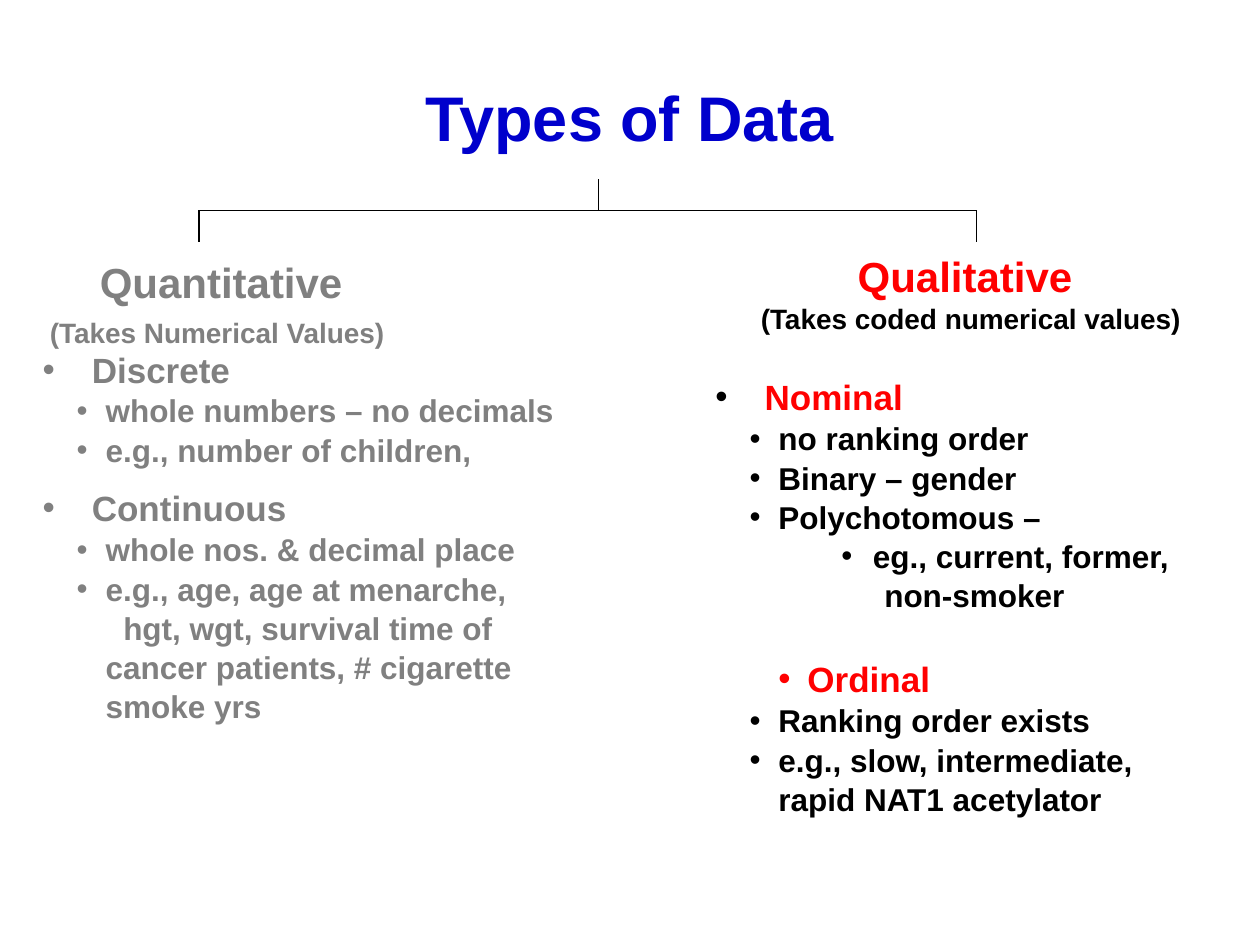
import pptx
import pptx.enum.shapes
import pptx.enum.text
import pptx.dml.color
import pptx.oxml
import pptx.oxml.ns
import pptx.util
from pptx.util import Inches

COLORS = {"title": "0000CC", "gray": "808080", "red": "FF0000", "black": "000000"}
ALIGN = pptx.enum.text.PP_ALIGN

deck = pptx.Presentation()
deck.slide_width, deck.slide_height = Inches(10), Inches(7.5)
page = deck.slides.add_slide(deck.slide_layouts[6])


def add_text(frame, text, size=18, color="black", align=ALIGN.LEFT, before=0,
             margin=0, hanging=0, bullet=None, spacing=1.04):
    """Append a bold paragraph; bullet names the colour of its bullet."""
    first = not frame.paragraphs[0].runs
    para = frame.paragraphs[0] if first else frame.add_paragraph()
    props = para._p.get_or_add_pPr()
    props.set("marL", str(Inches(margin)))
    props.set("indent", str(-Inches(hanging)))
    if bullet:
        for tag, name, value in (("buClr", None, None), ("buFont", "typeface", "Arial"),
                                 ("buChar", "char", "•")):
            mark = pptx.oxml.parse_xml(f'<a:{tag} {pptx.oxml.ns.nsdecls("a")}/>')
            if name:
                mark.set(name, value)
            else:
                mark.append(pptx.oxml.parse_xml(
                    f'<a:srgbClr {pptx.oxml.ns.nsdecls("a")} val="{COLORS[bullet]}"/>'))
            props.append(mark)
    para.alignment = align
    para.line_spacing = spacing
    para.space_before = pptx.util.Pt(before)
    span = para.add_run()
    span.text = text
    span.font.name = "Arial"
    span.font.size = pptx.util.Pt(size)
    span.font.bold = True
    span.font.color.rgb = pptx.dml.color.RGBColor.from_string(COLORS[color])


def add_box(left, top, width, height, wrap=True):
    box = page.shapes.add_textbox(Inches(left), Inches(top), Inches(width), Inches(height))
    box.text_frame.word_wrap = wrap
    return box.text_frame


title = add_box(0.5, 0.3, 9, 1.25)
title.vertical_anchor = pptx.enum.text.MSO_ANCHOR.MIDDLE
add_text(title, "Types of Data", size=36, color="title", align=ALIGN.CENTER, spacing=1)

# Tree: a horizontal bar, a stem up to the title and a drop to each branch
bar_y, tick, stem_x, left_x, right_x = 1.67, 0.25, 4.75, 1.58, 7.75
for x1, y1, x2, y2 in (
    (left_x, bar_y, right_x, bar_y),
    (stem_x, bar_y, stem_x, bar_y - tick),
    (left_x, bar_y + tick, left_x, bar_y),
    (right_x, bar_y + tick, right_x, bar_y),
):
    line = page.shapes.add_connector(pptx.enum.shapes.MSO_CONNECTOR.STRAIGHT,
                                     Inches(x1), Inches(y1), Inches(x2), Inches(y2))
    line.line.color.rgb = pptx.dml.color.RGBColor.from_string(COLORS["black"])
    line.line.width = pptx.util.Pt(0.75)
    line._element.spPr.append(
        pptx.oxml.parse_xml(f'<a:effectLst {pptx.oxml.ns.nsdecls("a")}/>'))

# Branch headings
for place, wrap, name, note, name_color, note_color, gap in (
    ((0.27, 1.97, 2.97, 0.83), False, "Quantitative", "(Takes Numerical Values) ",
     "gray", "gray", 4),
    ((5.58, 1.92, 4.25, 0.77), True, "Qualitative ", "(Takes coded numerical values)",
     "red", "black", 0),
):
    heading = add_box(*place, wrap=wrap)
    add_text(heading, name, size=24, color=name_color, align=ALIGN.CENTER)
    add_text(heading, note, size=16, color=note_color, align=ALIGN.CENTER, before=gap)

# Branch lists
topic = {"size": 20, "margin": 0.39, "hanging": 0.39}
item = {"margin": 0.5, "hanging": 0.23}
gray_topic = {**topic, "color": "gray", "bullet": "gray"}
gray_item = {**item, "color": "gray", "bullet": "gray"}
gray_plain = {"margin": 0.5, "color": "gray"}
black_item = {**item, "bullet": "black"}

quantitative = [
    ("Discrete", gray_topic),
    ("whole numbers – no decimals", gray_item),
    ("e.g., number of children,", gray_item),
    ("Continuous", {**gray_topic, "before": 9.5}),
    ("whole nos. & decimal place", gray_item),
    ("e.g., age, age at menarche,", gray_item),
    ("hgt, wgt, survival time of", {**gray_plain, "margin": 0.64}),
    ("cancer patients, # cigarette", gray_plain),
    ("smoke yrs", gray_plain),
]
qualitative = [
    ("Nominal", {**topic, "color": "red", "bullet": "black"}),
    ("no ranking order", black_item),
    ("Binary – gender", black_item),
    ("Polychotomous –", black_item),
    ("eg., current, former,", {"margin": 1.25, "hanging": 0.25, "bullet": "black"}),
    ("non-smoker", {"margin": 1.34}),
    ("Ordinal", {"size": 20, "margin": 0.73, "hanging": 0.23, "color": "red",
                 "bullet": "red", "before": 24}),
    ("Ranking order exists", black_item),
    ("e.g., slow, intermediate, rapid NAT1 acetylator", black_item),
]
for place, entries in (((0.24, 2.7, 4.34, 3.64), quantitative),
                       ((5.58, 2.92, 3.92, 4.98), qualitative)):
    branch = add_box(*place)
    for text, style in entries:
        add_text(branch, text, **style)

deck.save("out.pptx")
